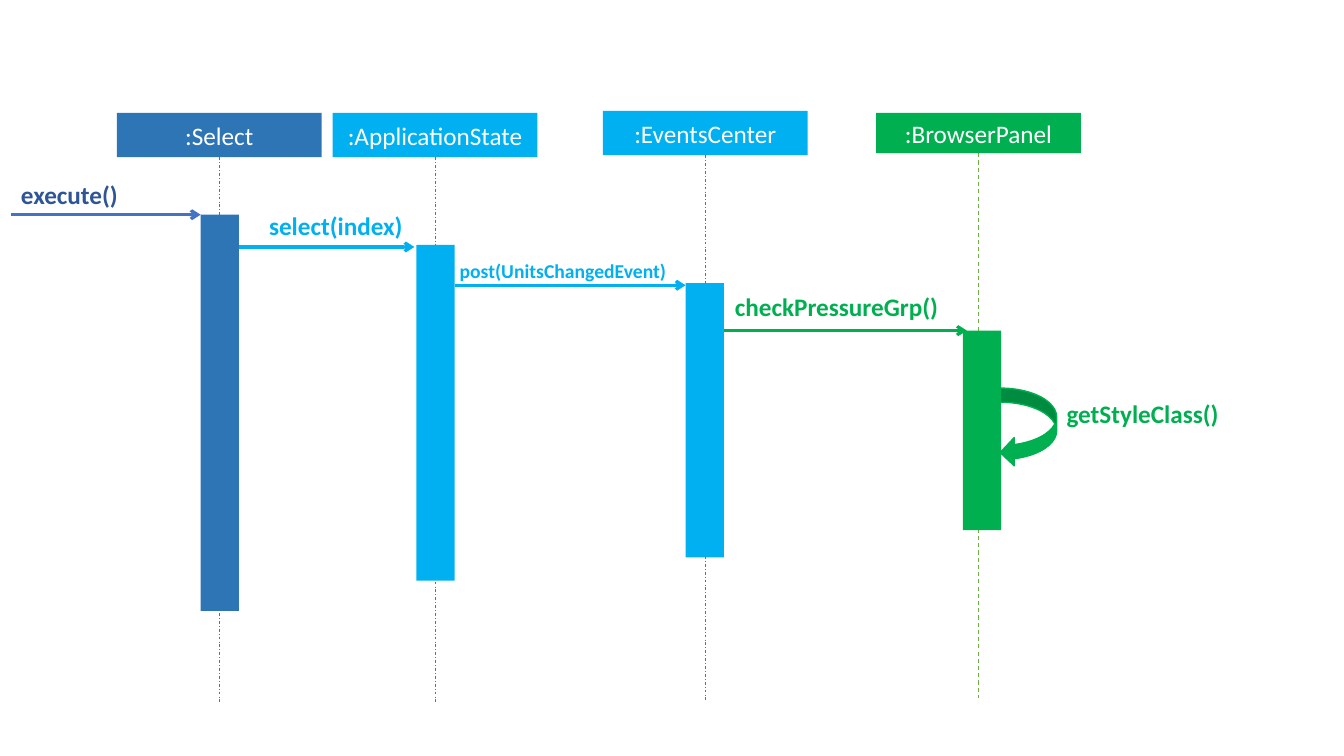
"""Build a sequence diagram slide for the select command."""
from dataclasses import dataclass
from typing import Optional

from lxml.etree import SubElement
from pptx import Presentation
from pptx.dml.color import RGBColor
from pptx.enum.dml import MSO_LINE
from pptx.enum.shapes import MSO_CONNECTOR as Connector, MSO_SHAPE as Shape
from pptx.enum.text import MSO_ANCHOR as Anchor, MSO_AUTO_SIZE as AutoSize, PP_ALIGN as Align
from pptx.oxml.ns import qn
from pptx.util import Emu, Pt

PX = 9144
FONT = "Calibri"
BLUE, SKY, GREEN = "2E75B6", "00B0F0", "00B050"
ACCENT, NAVY, LEAF, WHITE = "4472C4", "2F5597", "70AD47", "FFFFFF"
HEADER_WIDTH, LIFELINE_LENGTH, BAR_WIDTH = 203, 540, 38


@dataclass(frozen=True)
class Participant:
    name: str
    left: int
    top: int
    height: int
    color: str
    bar_left: int
    bar_top: int
    bar_height: int
    line_color: str = ACCENT
    line_width: float = 0.5
    dash: MSO_LINE = MSO_LINE.DASH_DOT


@dataclass(frozen=True)
class Message:
    start: int
    end: int
    y: int
    color: str


@dataclass(frozen=True)
class Label:
    text: str
    left: int
    top: int
    width: int
    height: int
    color: str
    size: int = 18


PARTICIPANTS = [
    Participant(":ApplicationState", 330, 112, 44, SKY, 413, 243, 333),
    Participant(":BrowserPanel", 869, 112, 40, GREEN, 955, 328, 198, LEAF, 0.75, MSO_LINE.DASH),
    Participant(":Select", 116, 112, 44, BLUE, 199, 213, 393),
    Participant(":EventsCenter", 598, 110, 44, SKY, 680, 281, 272),
]
MESSAGES = [
    Message(11, 199, 213, ACCENT),
    Message(237, 411, 245, SKY),
    Message(451, 680, 283, SKY),
    Message(718, 959, 328, GREEN),
]
LABELS = [
    Label("execute()", 11, 173, 118, 40, NAVY),
    Label("post(UnitsChangedEvent)", 446, 252, 278, 34, SKY, 14),
    Label("select(index)", 257, 204, 153, 40, SKY),
    Label("checkPressureGrp()", 719, 284, 233, 40, GREEN),
    Label("getStyleClass()", 1048, 390, 222, 40, GREEN),
]


def px(length: int) -> Emu:
    """Turn a length in px into EMU."""
    return Emu(length * PX)


def rgb(color: str) -> RGBColor:
    """Turn a hex string into a colour."""
    return RGBColor.from_string(color)


def write(shape, text: str, size: int, color: str, bold: bool = False) -> None:
    """Put one formatted line of text into a shape."""
    shape.text_frame.text = text
    font = shape.text_frame.paragraphs[0].runs[0].font
    font.name, font.size, font.bold = FONT, Pt(size), bold
    font.color.rgb = rgb(color)


def add_block(slide, kind: Shape, left: int, top: int, width: int, height: int,
              color: str, outline: Optional[str] = None):
    """Add a filled shape, outlined only if a colour is given."""
    shape = slide.shapes.add_shape(kind, px(left), px(top), px(width), px(height))
    shape.shadow.inherit = False
    shape.fill.solid()
    shape.fill.fore_color.rgb = rgb(color)
    if outline:
        shape.line.color.rgb = rgb(outline)
        shape.line.width = Pt(1)
    else:
        shape.line.fill.background()
    return shape


def add_line(slide, start: tuple[int, int], end: tuple[int, int], color: str, width: float):
    """Add a straight connector between two points in EMU."""
    connector = slide.shapes.add_connector(Connector.STRAIGHT, *start, *end)
    connector.line.color.rgb = rgb(color)
    connector.line.width = Pt(width)
    SubElement(connector.element.spPr, qn("a:effectLst"))
    return connector


def add_header(slide, participant: Participant):
    """Add the named box at the top of a lifeline."""
    header = add_block(slide, Shape.RECTANGLE, participant.left, participant.top,
                       HEADER_WIDTH, participant.height, participant.color)
    write(header, participant.name, 18, WHITE)
    header.text_frame.vertical_anchor = Anchor.MIDDLE
    header.text_frame.paragraphs[0].alignment = Align.CENTER
    return header


def add_lifeline(slide, participant: Participant, header) -> None:
    """Hang a dashed lifeline from the middle of a header."""
    center = header.left + header.width // 2
    bottom = header.top + header.height
    lifeline = add_line(slide, (center, bottom), (center, bottom + px(LIFELINE_LENGTH)),
                        participant.line_color, participant.line_width)
    lifeline.line.dash_style = participant.dash
    lifeline.begin_connect(header, 2)


def add_message(slide, message: Message) -> None:
    """Add a horizontal call arrow."""
    arrow = add_line(slide, (px(message.start), px(message.y)),
                     (px(message.end), px(message.y)), message.color, 2.25)
    SubElement(arrow.element.spPr.find(qn("a:ln")), qn("a:tailEnd"), type="arrow")


def add_label(slide, label: Label) -> None:
    """Add the bold name of a call."""
    box = slide.shapes.add_textbox(px(label.left), px(label.top), px(label.width), px(label.height))
    box.text_frame.word_wrap = True
    box.text_frame.auto_size = AutoSize.SHAPE_TO_FIT_TEXT
    write(box, label.text, label.size, label.color, bold=True)


def main() -> None:
    """Build and save the slide."""
    presentation = Presentation()
    presentation.slide_width, presentation.slide_height = px(1333), px(750)
    slide = presentation.slides.add_slide(presentation.slide_layouts[6])
    headers = [add_header(slide, participant) for participant in PARTICIPANTS]
    for participant, header in zip(PARTICIPANTS, headers):
        add_lifeline(slide, participant, header)
    for participant in PARTICIPANTS:
        add_block(slide, Shape.RECTANGLE, participant.bar_left, participant.bar_top,
                  BAR_WIDTH, participant.bar_height, participant.color)
    for message in MESSAGES:
        add_message(slide, message)
    for label in LABELS:
        add_label(slide, label)
    add_block(slide, Shape.CURVED_LEFT_ARROW, 992, 385, 56, 78, GREEN, GREEN)
    presentation.save("out.pptx")


if __name__ == "__main__":
    main()
